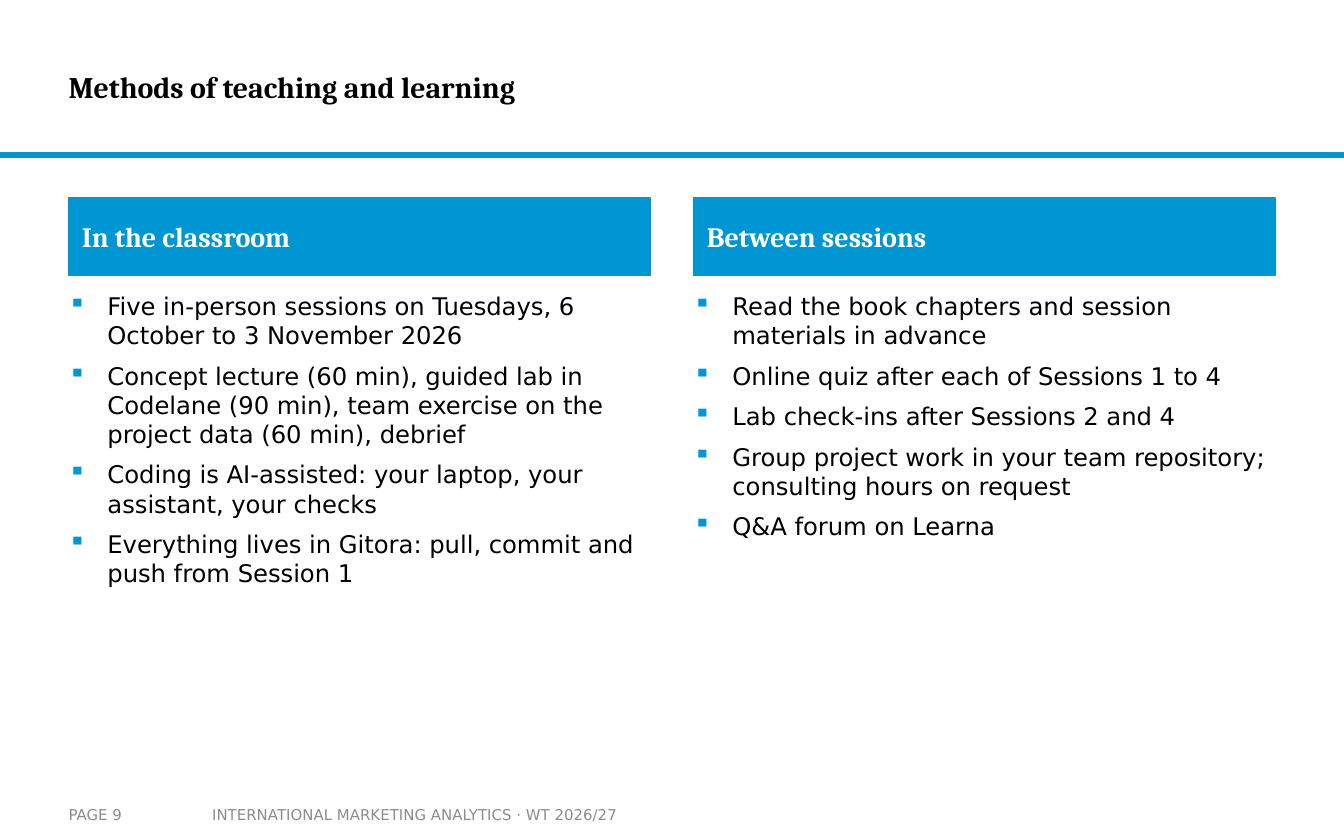
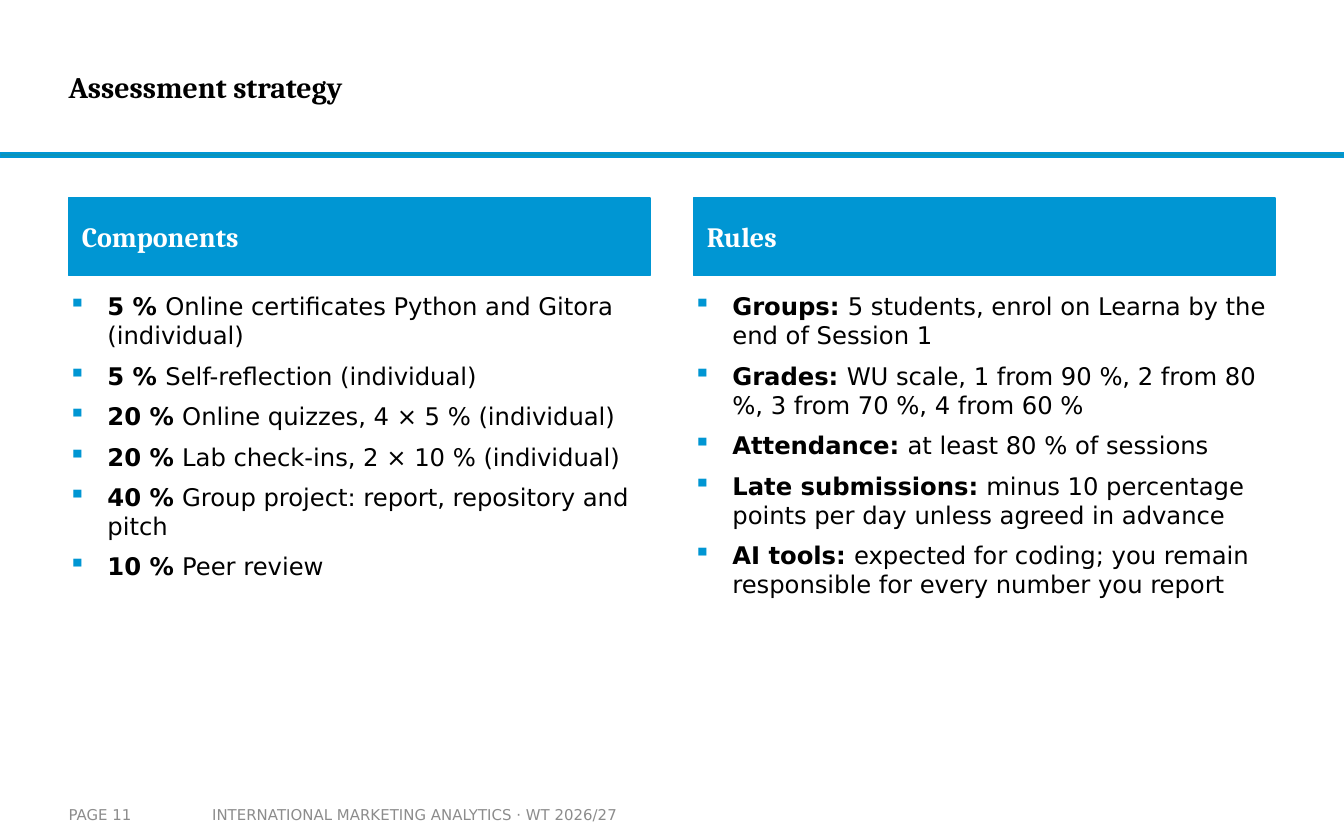
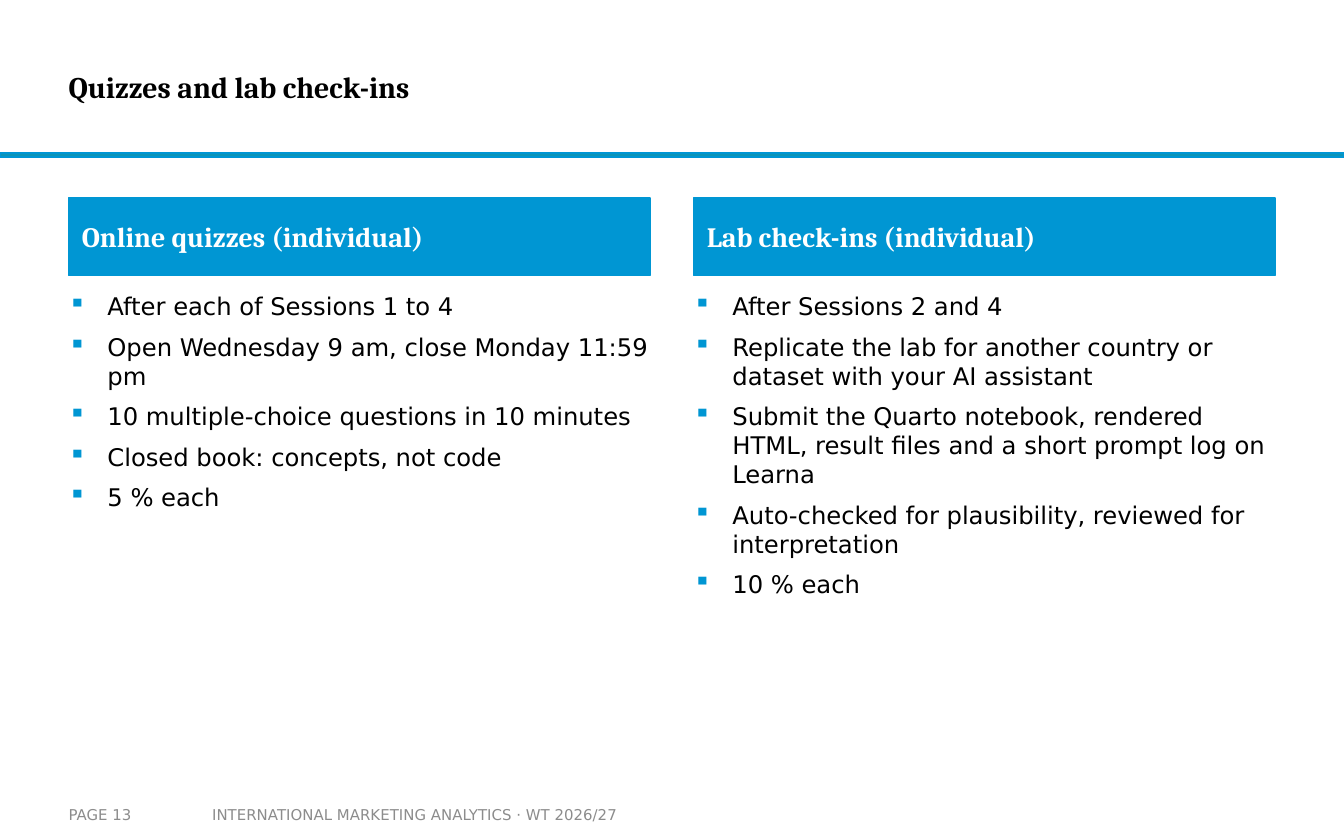
from dataclasses import dataclass
from typing import NamedTuple

from lxml.etree import SubElement
from pptx import Presentation
from pptx.dml.color import RGBColor
from pptx.enum.shapes import MSO_SHAPE as Preset
from pptx.enum.text import MSO_ANCHOR as Anchor, MSO_AUTO_SIZE as AutoSize, PP_ALIGN as Align
from pptx.oxml.ns import qn
from pptx.util import Pt

EMU_PER_PX = 9144


class TextStyle(NamedTuple):
    font: str
    size: int
    color: str
    bold: bool = False


@dataclass(frozen=True)
class Theme:
    accent: str = "0096D3"
    rule: str = "0C94B7"
    title: TextStyle = TextStyle("Cambria", 16, "000000", True)
    header: TextStyle = TextStyle("Cambria", 15, "FFFFFF", True)
    body: TextStyle = TextStyle("DejaVu Sans", 13, "000000")
    footer: TextStyle = TextStyle("DejaVu Sans", 8, "8C8C8C")
    space_after: int = 6
    line_width: int = 1


class Box(NamedTuple):
    left: int
    top: int
    width: int
    height: int


class Point(NamedTuple):
    text: str
    lead: str = ""


@dataclass(frozen=True)
class Column:
    heading: str
    points: tuple[Point, ...]


@dataclass(frozen=True)
class Page:
    number: int
    title: str
    columns: tuple[Column, Column]


THEME = Theme()
SLIDE_WIDTH, SLIDE_HEIGHT = 1000, 625
MARGIN = 51
COLUMN_WIDTH, COLUMN_STEP = 433, 465
BULLET_INDENT = 29
HEADER_INDENT = 10
COURSE = "INTERNATIONAL MARKETING ANALYTICS · WT 2026/27"

PAGES = (
    Page(9, "Methods of teaching and learning", (
        Column("In the classroom", (
            Point("Five in-person sessions on Tuesdays, 6 October to 3 November 2026"),
            Point("Concept lecture (60 min), guided lab in Codelane (90 min), "
                  "team exercise on the project data (60 min), debrief"),
            Point("Coding is AI-assisted: your laptop, your assistant, your checks"),
            Point("Everything lives in Gitora: pull, commit and push from Session 1"),
        )),
        Column("Between sessions", (
            Point("Read the book chapters and session materials in advance"),
            Point("Online quiz after each of Sessions 1 to 4"),
            Point("Lab check-ins after Sessions 2 and 4"),
            Point("Group project work in your team repository; consulting hours on request"),
            Point("Q&A forum on Learna"),
        )),
    )),
    Page(11, "Assessment strategy", (
        Column("Components", (
            Point("Online certificates Python and Gitora (individual)", "5 %"),
            Point("Self-reflection (individual)", "5 %"),
            Point("Online quizzes, 4 × 5 % (individual)", "20 %"),
            Point("Lab check-ins, 2 × 10 % (individual)", "20 %"),
            Point("Group project: report, repository and pitch", "40 %"),
            Point("Peer review", "10 %"),
        )),
        Column("Rules", (
            Point("5 students, enrol on Learna by the end of Session 1", "Groups:"),
            Point("WU scale, 1 from 90 %, 2 from 80 %, 3 from 70 %, 4 from 60 %", "Grades:"),
            Point("at least 80 % of sessions", "Attendance:"),
            Point("minus 10 percentage points per day unless agreed in advance",
                  "Late submissions:"),
            Point("expected for coding; you remain responsible for every number you report",
                  "AI tools:"),
        )),
    )),
    Page(13, "Quizzes and lab check-ins", (
        Column("Online quizzes (individual)", (
            Point("After each of Sessions 1 to 4"),
            Point("Open Wednesday 9 am, close Monday 11:59 pm"),
            Point("10 multiple-choice questions in 10 minutes"),
            Point("Closed book: concepts, not code"),
            Point("5 % each"),
        )),
        Column("Lab check-ins (individual)", (
            Point("After Sessions 2 and 4"),
            Point("Replicate the lab for another country or dataset with your AI assistant"),
            Point("Submit the Quarto notebook, rendered HTML, result files "
                  "and a short prompt log on Learna"),
            Point("Auto-checked for plausibility, reviewed for interpretation"),
            Point("10 % each"),
        )),
    )),
)


def px(length: int) -> int:
    return length * EMU_PER_PX


def style_paragraph(paragraph, style: TextStyle) -> None:
    paragraph.alignment = Align.LEFT
    font = paragraph.font
    font.name = style.font
    font.size = Pt(style.size)
    font.bold = style.bold
    font.color.rgb = RGBColor.from_string(style.color)


def set_frame(shape, anchor: Anchor, side: int = 0, edge: int = 5):
    frame = shape.text_frame
    frame.word_wrap = True
    frame.auto_size = AutoSize.NONE
    frame.vertical_anchor = anchor
    frame.margin_left = frame.margin_right = px(side)
    frame.margin_top = frame.margin_bottom = px(edge)
    return frame


def add_rectangle(slide, box: Box, fill: str):
    shape = slide.shapes.add_shape(Preset.RECTANGLE, *map(px, box))
    shape.shadow.inherit = False
    shape.fill.solid()
    shape.fill.fore_color.rgb = RGBColor.from_string(fill)
    shape.line.color.rgb = RGBColor.from_string(THEME.accent)
    shape.line.width = Pt(THEME.line_width)
    return shape


def add_label(slide, box: Box, text: str, style: TextStyle, side: int = 0, edge: int = 5) -> None:
    shape = slide.shapes.add_textbox(*map(px, box))
    paragraph = set_frame(shape, Anchor.MIDDLE, side, edge).paragraphs[0]
    paragraph.text = text
    style_paragraph(paragraph, style)


def indent_paragraph(paragraph, left: int, first: int = 0):
    paragraph.space_after = Pt(THEME.space_after)
    properties = paragraph._p.get_or_add_pPr()
    properties.set("marL", str(px(left)))
    properties.set("indent", str(px(first)))
    return properties


def add_bullet(paragraph) -> None:
    properties = indent_paragraph(paragraph, BULLET_INDENT, -BULLET_INDENT)
    bullet_color = SubElement(properties, qn("a:buClr"))
    SubElement(bullet_color, qn("a:srgbClr")).set("val", THEME.accent)
    SubElement(properties, qn("a:buChar")).set("char", "▪")


def add_points(slide, box: Box, points: tuple[Point, ...]) -> None:
    frame = set_frame(slide.shapes.add_textbox(*map(px, box)), Anchor.TOP)
    for index, point in enumerate(points):
        paragraph = frame.add_paragraph() if index else frame.paragraphs[0]
        add_bullet(paragraph)
        style_paragraph(paragraph, THEME.body)
        if point.lead:
            lead = paragraph.add_run()
            lead.text = f"{point.lead} "
            lead.font.bold = True
        paragraph.add_run().text = point.text


def add_column(slide, left: int, column: Column) -> None:
    add_points(slide, Box(left, 212, COLUMN_WIDTH, 357), column.points)
    header = add_rectangle(slide, Box(left, 147, COLUMN_WIDTH, 58), THEME.accent)
    paragraph = set_frame(header, Anchor.MIDDLE).paragraphs[0]
    paragraph.text = column.heading
    indent_paragraph(paragraph, HEADER_INDENT)
    style_paragraph(paragraph, THEME.header)


def add_page(presentation, page: Page) -> None:
    slide = presentation.slides.add_slide(presentation.slide_layouts[6])
    add_rectangle(slide, Box(0, 114, SLIDE_WIDTH, 3), THEME.rule)
    add_label(slide, Box(MARGIN, 15, 748, 99), page.title, THEME.title, edge=0)
    for index, column in enumerate(page.columns):
        add_column(slide, MARGIN + index * COLUMN_STEP, column)
    add_label(slide, Box(148, 592, 352, 28), COURSE, THEME.footer, side=10)
    add_label(slide, Box(MARGIN, 592, 98, 28), f"PAGE {page.number}", THEME.footer)


def main() -> None:
    presentation = Presentation()
    presentation.slide_width = px(SLIDE_WIDTH)
    presentation.slide_height = px(SLIDE_HEIGHT)
    for page in PAGES:
        add_page(presentation, page)
    presentation.save("out.pptx")


if __name__ == "__main__":
    main()
